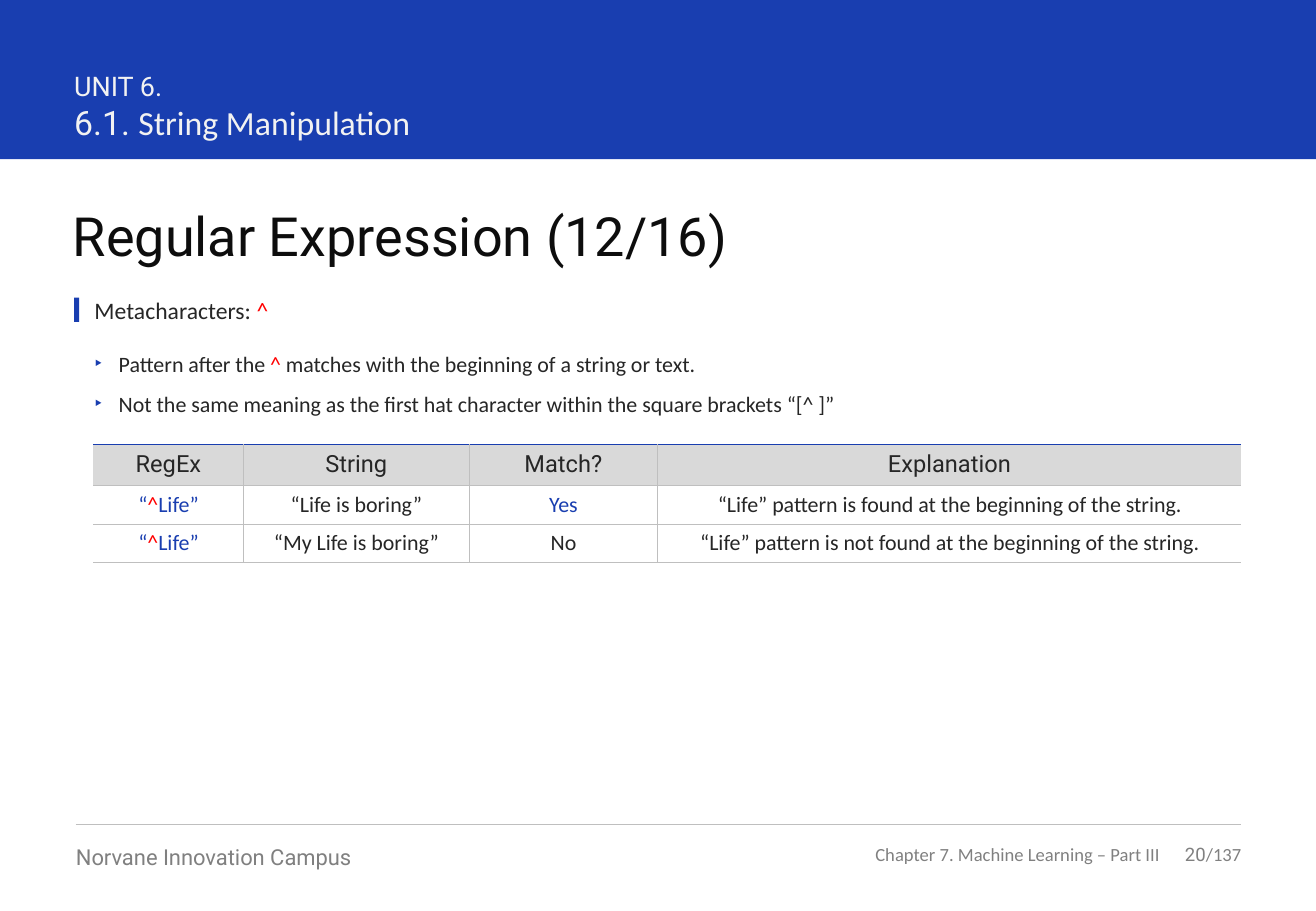
from lxml.etree import SubElement
from pptx import Presentation
from pptx.dml.color import RGBColor
from pptx.enum.shapes import MSO_CONNECTOR, MSO_SHAPE
from pptx.enum.text import MSO_ANCHOR, PP_ALIGN
from pptx.oxml import parse_xml
from pptx.oxml.ns import nsdecls, qn
from pptx.util import Pt

BLUE, RED, INK, GREY, RULE = "193EB0", "FF0000", "262626", "808080", "BFBFBF"
HEAD_FILL, WHITE = "D9D9D9", "FFFFFF"
BODY, HEADING = "Calibri", "Roboto"
CONTENT_RIGHT = 735.8


def color(value):
    """Return the colour for a hex string."""
    return RGBColor.from_string(value)


def add_text(paragraph, text, size=13, font=BODY, fill=INK):
    """Append a formatted run to a paragraph."""
    run = paragraph.add_run()
    run.text = text
    run.font.size, run.font.name = Pt(size), font
    run.font.color.rgb = color(fill)


def format_frame(frame, anchor=MSO_ANCHOR.TOP, margins=(0, 0, 0, 0), wrap=True):
    """Set the margins, wrapping and anchor of a text frame."""
    frame.word_wrap, frame.vertical_anchor = wrap, anchor
    left, top, right, bottom = map(Pt, margins)
    frame.margin_left, frame.margin_top = left, top
    frame.margin_right, frame.margin_bottom = right, bottom


def add_box(slide, left, top, width, height, **layout):
    """Add a text box and return its text frame."""
    box = slide.shapes.add_textbox(Pt(left), Pt(top), Pt(width), Pt(height))
    format_frame(box.text_frame, **layout)
    return box.text_frame


def add_bar(slide, left, top, width, height):
    """Add a plain blue rectangle."""
    shape = slide.shapes.add_shape(MSO_SHAPE.RECTANGLE, Pt(left), Pt(top), Pt(width), Pt(height))
    shape.shadow.inherit = False
    shape.fill.solid()
    shape.fill.fore_color.rgb = color(BLUE)
    shape.line.fill.background()


def add_header(slide, left, top, width, height):
    """Draw the blue band with the unit and section names."""
    add_bar(slide, left, top, width, height)
    frame = add_box(slide, left + 44, top + 41, 458.6, 44)
    add_text(frame.paragraphs[0], "UNIT 6.", size=16, font=HEADING, fill="F2F2F2")
    section = frame.add_paragraph()
    add_text(section, "6.1. ", size=20, font=HEADING, fill="F2F2F2")
    add_text(section, "String Manipulation", size=20, fill="F2F2F2")


def add_title(slide, left, top, width, height):
    """Place and fill the title placeholder."""
    title = slide.shapes.title
    title.left, title.top, title.width, title.height = map(Pt, (left, top, width, height))
    format_frame(title.text_frame)
    paragraph = title.text_frame.paragraphs[0]
    paragraph.alignment = PP_ALIGN.LEFT
    add_text(paragraph, "Regular Expression (12/16)", size=32, font=HEADING, fill="0D0D0D")


def add_bullet(paragraph):
    """Give a paragraph a hanging blue triangle bullet."""
    properties = paragraph._p.get_or_add_pPr()
    properties.set("marL", str(Pt(14.4)))
    properties.set("indent", str(-Pt(14.4)))
    bullet_color = SubElement(properties, qn("a:buClr"))
    SubElement(bullet_color, qn("a:srgbClr"), val=BLUE)
    SubElement(properties, qn("a:buFont"), typeface="Arial")
    SubElement(properties, qn("a:buChar"), char="‣")
    paragraph.space_after = Pt(8)


def add_points(slide, left, top, width, height):
    """Draw the topic with its marker and the bullets below it."""
    add_bar(slide, left, top + 0.7, 3, 14.4)
    text_left, text_width = left + 12, width - 12
    topic = add_box(slide, text_left, top, text_width, 17).paragraphs[0]
    add_text(topic, "Metacharacters: ", size=14)
    add_text(topic, "^", size=14, fill=RED)
    frame = add_box(slide, text_left, top + 26.3, text_width, height - 26.3, margins=(0, 5.8, 11.5, 5.8))
    points = [
        [("Pattern after the ", INK), ("^", RED), (" matches with the beginning of a string or text.", INK)],
        [("Not the same meaning as the first hat character within the square brackets “[^ ]”", INK)],
    ]
    for index, runs in enumerate(points):
        paragraph = frame.add_paragraph() if index else frame.paragraphs[0]
        add_bullet(paragraph)
        for text, fill in runs:
            add_text(paragraph, text, fill=fill)


def set_borders(cell, borders):
    """Set left, right, top and bottom borders; None leaves a side open."""
    properties = cell._tc.get_or_add_tcPr()
    for index, (side, border) in enumerate(zip("LRTB", borders)):
        value, width = border or (None, 0)
        paint = f'<a:solidFill><a:srgbClr val="{value}"/></a:solidFill>' if border else "<a:noFill/>"
        line = parse_xml(f'<a:ln{side} {nsdecls("a")} w="{Pt(width)}">{paint}</a:ln{side}>')
        properties.insert(index, line)


def add_match_table(slide, left, top, width, height):
    """Draw the table of patterns, strings and results."""
    pattern = [("“", BLUE), ("^", RED), ("Life”", BLUE)]
    rows = [
        [[(name, INK)] for name in ("RegEx", "String", "Match?", "Explanation")],
        [pattern, [("“Life is boring”", INK)], [("Yes", BLUE)],
         [("“Life” pattern is found at the beginning of the string.", INK)]],
        [pattern, [("“My Life is boring”", INK)], [("No", INK)],
         [("“Life” pattern is not found at the beginning of the string.", INK)]],
    ]
    table = slide.shapes.add_table(3, 4, Pt(left), Pt(top), Pt(width), Pt(height)).table
    table.first_row = table.horz_banding = False
    column_widths = [88.9, 133.9, 111.6]
    column_widths.append(width - sum(column_widths))
    for column, column_width in zip(table.columns, column_widths):
        column.width = Pt(column_width)
    row_heights = [24, (height - 24) / 2, (height - 24) / 2]
    thin = (RULE, 0.5)
    for row_index, cells in enumerate(rows):
        table.rows[row_index].height = Pt(row_heights[row_index])
        header = row_index == 0
        for column_index, runs in enumerate(cells):
            cell = table.cell(row_index, column_index)
            cell.vertical_anchor = MSO_ANCHOR.MIDDLE
            cell.fill.solid()
            cell.fill.fore_color.rgb = color(HEAD_FILL if header else WHITE)
            set_borders(cell, [thin if column_index > 0 else None, thin if column_index < 3 else None,
                               (BLUE, 1) if header else thin, thin])
            paragraph = cell.text_frame.paragraphs[0]
            paragraph.alignment = PP_ALIGN.CENTER
            for text, fill in runs:
                add_text(paragraph, text, size=14 if header else 13, font=HEADING if header else BODY, fill=fill)


def add_footer(slide, left, top, width, height):
    """Draw the rule, course name, chapter and page number."""
    right = left + width
    rule = slide.shapes.add_connector(MSO_CONNECTOR.STRAIGHT, Pt(left), Pt(top), Pt(right), Pt(top))
    rule.line.color.rgb, rule.line.width = color(RULE), Pt(0.5)
    SubElement(rule._element.spPr, qn("a:effectLst"))
    course = add_box(slide, left, top + 11.5, 227.5, height - 11.5)
    add_text(course.paragraphs[0], "Norvane Innovation Campus", size=13, font=HEADING, fill=GREY)
    chapter = add_box(slide, right - 231.8, top + 10.8, 183.6, 13.7, anchor=MSO_ANCHOR.MIDDLE, wrap=False)
    page = add_box(slide, right - 48.2, top + 10.8, 48.2, 13.7, anchor=MSO_ANCHOR.MIDDLE)
    for frame in (chapter, page):
        frame.paragraphs[0].alignment = PP_ALIGN.RIGHT
    add_text(chapter.paragraphs[0], "Chapter 7. Machine Learning – Part III", size=11, fill=GREY)
    add_text(page.paragraphs[0], "20", size=11, font=HEADING, fill=GREY)
    add_text(page.paragraphs[0], "/137", size=11, fill=GREY)


def main():
    """Build and save the slide."""
    presentation = Presentation()
    presentation.slide_width, presentation.slide_height = Pt(780), Pt(540)
    slide = presentation.slides.add_slide(presentation.slide_layouts[5])
    add_header(slide, 0, 0, 780, 94.3)
    add_title(slide, 43.2, 120.2, CONTENT_RIGHT - 43.2, 39)
    add_points(slide, 44, 175.7, CONTENT_RIGHT - 44, 78.5)
    add_match_table(slide, 55.4, 263.5, CONTENT_RIGHT - 55.4, 70)
    add_footer(slide, 45, 488.7, CONTENT_RIGHT - 45, 27.5)
    presentation.save("out.pptx")


if __name__ == "__main__":
    main()
